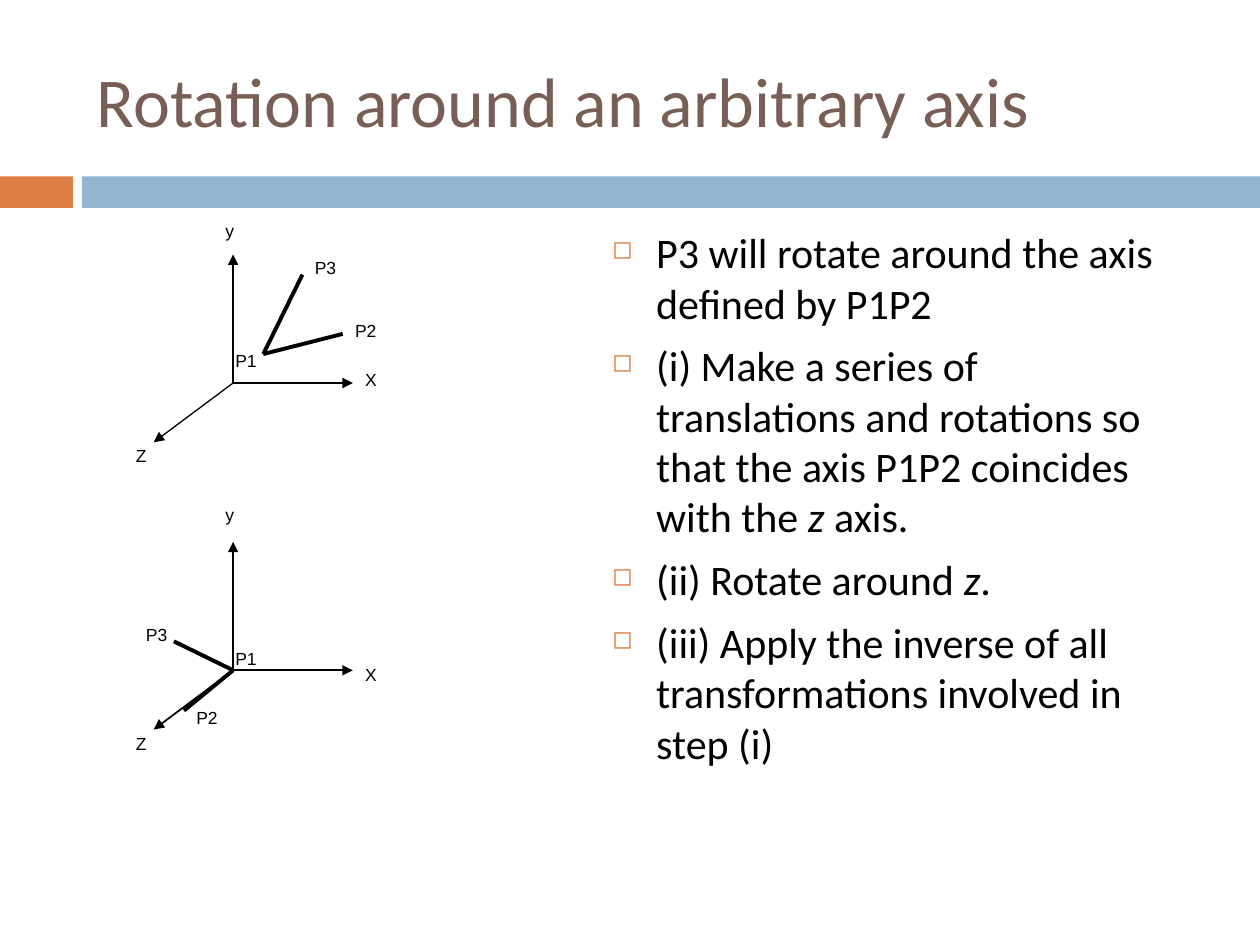
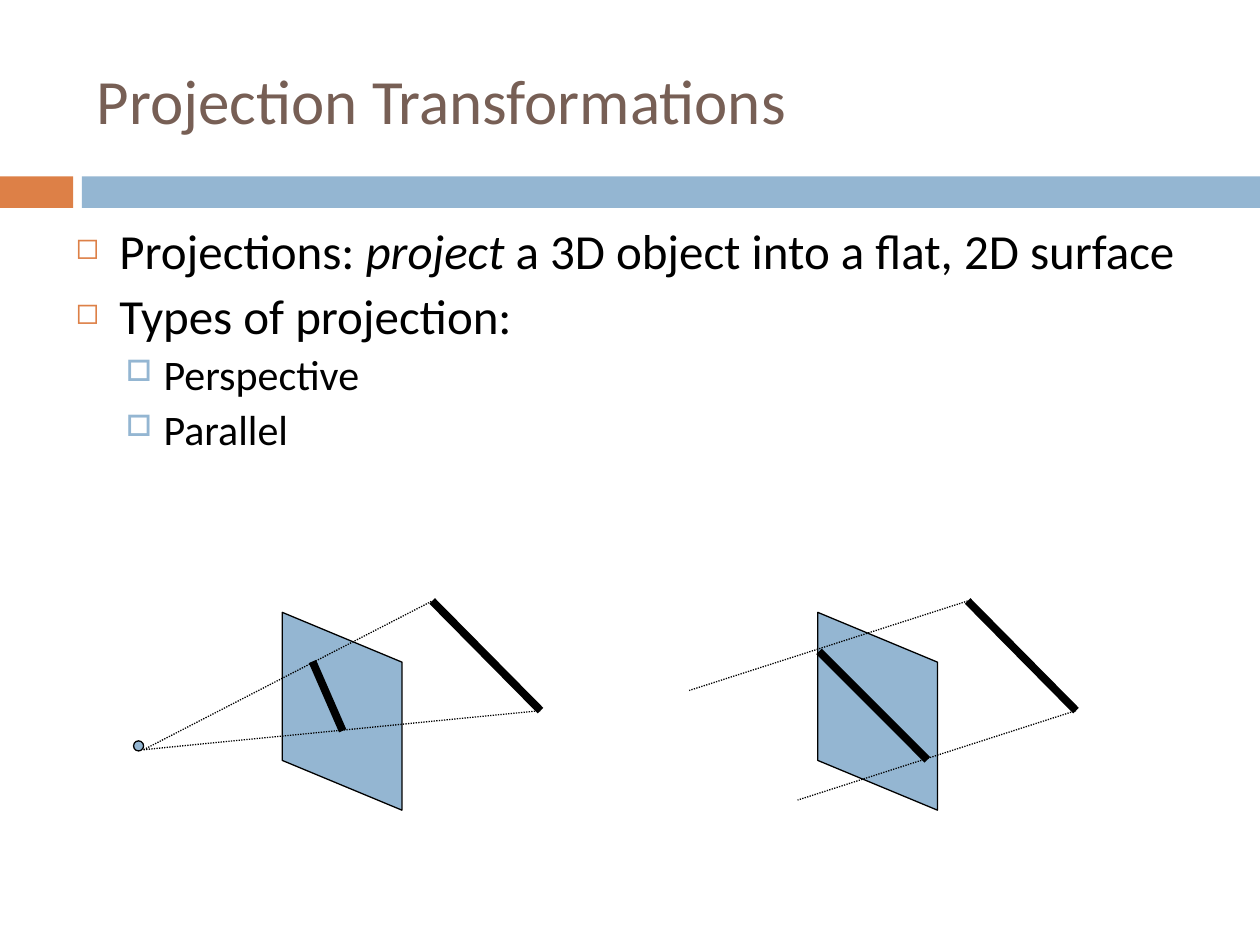
from lxml import etree
from pptx import Presentation
from pptx.dml.color import RGBColor
from pptx.enum.dml import MSO_LINE
from pptx.enum.shapes import MSO_CONNECTOR, MSO_SHAPE
from pptx.enum.text import MSO_ANCHOR
from pptx.oxml.ns import qn
from pptx.util import Inches, Pt

ORANGE = RGBColor(0xDD, 0x80, 0x47)
BLUE = RGBColor(0x94, 0xB6, 0xD2)
BROWN = RGBColor(0x77, 0x5F, 0x55)
BLACK = RGBColor(0, 0, 0)

# Bullet levels: character, colour, size %, left indent, hanging, space before
LEVELS = [
    ("◻", ORANGE, 60, 0.35, 0.35, 7),
    ("□", BLUE, 70, 0.7, 0.3, 5.5),
]


class Deck:
    """Holds the shared style and the slide being drawn."""

    def __init__(self):
        self.prs = Presentation()
        self.prs.slide_width, self.prs.slide_height = Inches(10), Inches(7.5)
        self.slide = None

    def new_slide(self, title, size):
        self.slide = self.prs.slides.add_slide(self.prs.slide_layouts[6])
        self.shape(MSO_SHAPE.RECTANGLE, 0, 1.4, 0.58, 0.25, ORANGE)
        self.shape(MSO_SHAPE.RECTANGLE, 0.65, 1.4, 9.35, 0.25, BLUE)
        frame = self.text(title, 0.67, 0.25, 8.92, 1.08, size, "Calibri", BROWN)
        frame.vertical_anchor = MSO_ANCHOR.MIDDLE

    def shape(self, kind, left, top, width, height, fill, outlined=False):
        shape = self.slide.shapes.add_shape(
            kind, Inches(left), Inches(top), Inches(width), Inches(height))
        shape.shadow.inherit = False
        shape.fill.solid()
        shape.fill.fore_color.rgb = fill
        if outlined:
            shape.line.color.rgb = BLACK
            shape.line.width = Pt(0.75)
        else:
            shape.line.fill.background()
        return shape

    def frame(self, left, top, width, height):
        box = self.slide.shapes.add_textbox(
            Inches(left), Inches(top), Inches(width), Inches(height))
        box.text_frame.word_wrap = True
        return box.text_frame

    def style(self, run, size, font, color):
        run.font.size = Pt(size)
        run.font.name = font
        run.font.color.rgb = color

    def text(self, words, left, top, width, height, size, font, color):
        frame = self.frame(left, top, width, height)
        frame.text = words
        self.style(frame.paragraphs[0].runs[0], size, font, color)
        return frame

    def label(self, words, left, top, width=0.47):
        self.text(words, left, top, width, 0.27, 10, "Arial", BLACK)

    def bullets(self, items, left, top, width, height, line_spacing=None):
        """Items are (level, size, words); *stars* enclose italics."""
        frame = self.frame(left, top, width, height)
        for index, (level, size, words) in enumerate(items):
            paragraph = frame.add_paragraph() if index else frame.paragraphs[0]
            for part, piece in enumerate(words.split("*")):
                run = paragraph.add_run()
                run.text = piece
                self.style(run, size, "Calibri", BLACK)
                run.font.italic = part % 2 == 1
            self.bullet(paragraph, level, line_spacing)

    def bullet(self, paragraph, level, line_spacing):
        char, color, percent, indent, hanging, before = LEVELS[level]
        paragraph.level = level
        paragraph.line_spacing = line_spacing
        paragraph.space_before = Pt(before)
        props = paragraph._p.get_or_add_pPr()
        props.set("marL", str(Inches(indent)))
        props.set("indent", str(-Inches(hanging)))
        bullet_color = etree.SubElement(props, qn("a:buClr"))
        etree.SubElement(bullet_color, qn("a:srgbClr"), val=str(color))
        etree.SubElement(props, qn("a:buSzPct"), val=str(percent * 1000))
        etree.SubElement(props, qn("a:buChar"), char=char)

    def line(self, start, end, width=0.75, arrow=False, dotted=False):
        line = self.slide.shapes.add_connector(
            MSO_CONNECTOR.STRAIGHT, *(Inches(v) for v in (*start, *end)))
        line.line.color.rgb = BLACK
        line.line.width = Pt(width)
        if dotted:
            line.line.dash_style = MSO_LINE.ROUND_DOT
        if arrow:
            etree.SubElement(line.line._get_or_add_ln(), qn("a:tailEnd"),
                             type="triangle")
        etree.SubElement(line._element.spPr, qn("a:effectLst"))

    def axes(self, origin, width, label_tops):
        x, y = origin
        for dx, dy in ((0, -1.02), (0.95, 0), (-0.63, 0.47)):
            self.line(origin, (x + dx, y + dy), width, arrow=True)
        for name, left, top in zip("yXZ", (1.69, 2.8, 0.98), label_tops):
            self.label(name, left, top, 0.24)

    def plane_and_object(self, left):
        """Projection plane standing upright, with the projected segment."""
        plane = self.shape(MSO_SHAPE.PARALLELOGRAM, left, 5.17, 1.57, 0.95,
                           BLUE, outlined=True)
        plane.adjustments[0] = 0.416
        plane.rotation = 270
        ends = (left + 1.5, 4.77), (left + 2.36, 5.64)
        self.line(*ends, 4.5)
        return ends


def rotation_slide(deck):
    deck.new_slide("Rotation around an arbitrary axis", 40)
    steps = [
        "P3 will rotate around the axis defined by P1P2",
        "(i) Make a series of translations and rotations so that the axis "
        "P1P2 coincides with the *z* axis.",
        "(ii) Rotate around *z*.",
        "(iii) Apply the inverse of all transformations involved in step (i)",
    ]
    deck.bullets([(0, 24, step) for step in steps], 4.76, 1.75, 4.74, 4.95)

    # Before and after aligning P1P2 with the z axis
    before, after = (1.85, 3.04), (1.85, 5.32)
    deck.axes(before, 0.75, (1.7, 2.88, 3.48))
    deck.axes(after, 1, (3.95, 5.22, 5.77))
    for p1, p2, p3 in (((2.09, 2.81), (2.72, 2.65), (2.4, 2.18)),
                       (after, (1.46, 5.64), (1.38, 5.09))):
        deck.line(p1, p2, 2.25)
        deck.line(p1, p3, 2.25)
    for name, left, top in (("P1", 1.77, 2.73), ("P2", 2.72, 2.49),
                            ("P3", 2.4, 1.99), ("P1", 1.77, 5.09),
                            ("P2", 1.46, 5.56), ("P3", 1.06, 4.9)):
        deck.label(name, left, top)


def projection_slide(deck):
    deck.new_slide("Projection Transformations", 36)
    deck.bullets([
        (0, 28, "Projections: *project *a 3D object into a flat, 2D surface"),
        (0, 28, "Types of projection:"),
        (1, 24, "Perspective"),
        (1, 24, "Parallel"),
    ], 0.5, 1.75, 9, 2.55, line_spacing=0.9)

    # Perspective: rays meet at the eye
    object_ends = deck.plane_and_object(1.93)
    deck.shape(MSO_SHAPE.OVAL, 1.06, 5.88, 0.08, 0.08, BLUE, outlined=True)
    for end in object_ends:
        deck.line((1.14, 5.95), end, dotted=True)
    deck.line((2.48, 5.25), (2.72, 5.8), 4.5)

    # Parallel: rays keep one direction
    for x, y in deck.plane_and_object(6.18):
        deck.line((x, y), (x - 2.21, y + 0.71), dotted=True)
    deck.line((6.5, 5.17), (7.36, 6.03), 4.5)


def main():
    deck = Deck()
    rotation_slide(deck)
    projection_slide(deck)
    deck.prs.save("out.pptx")


if __name__ == "__main__":
    main()
